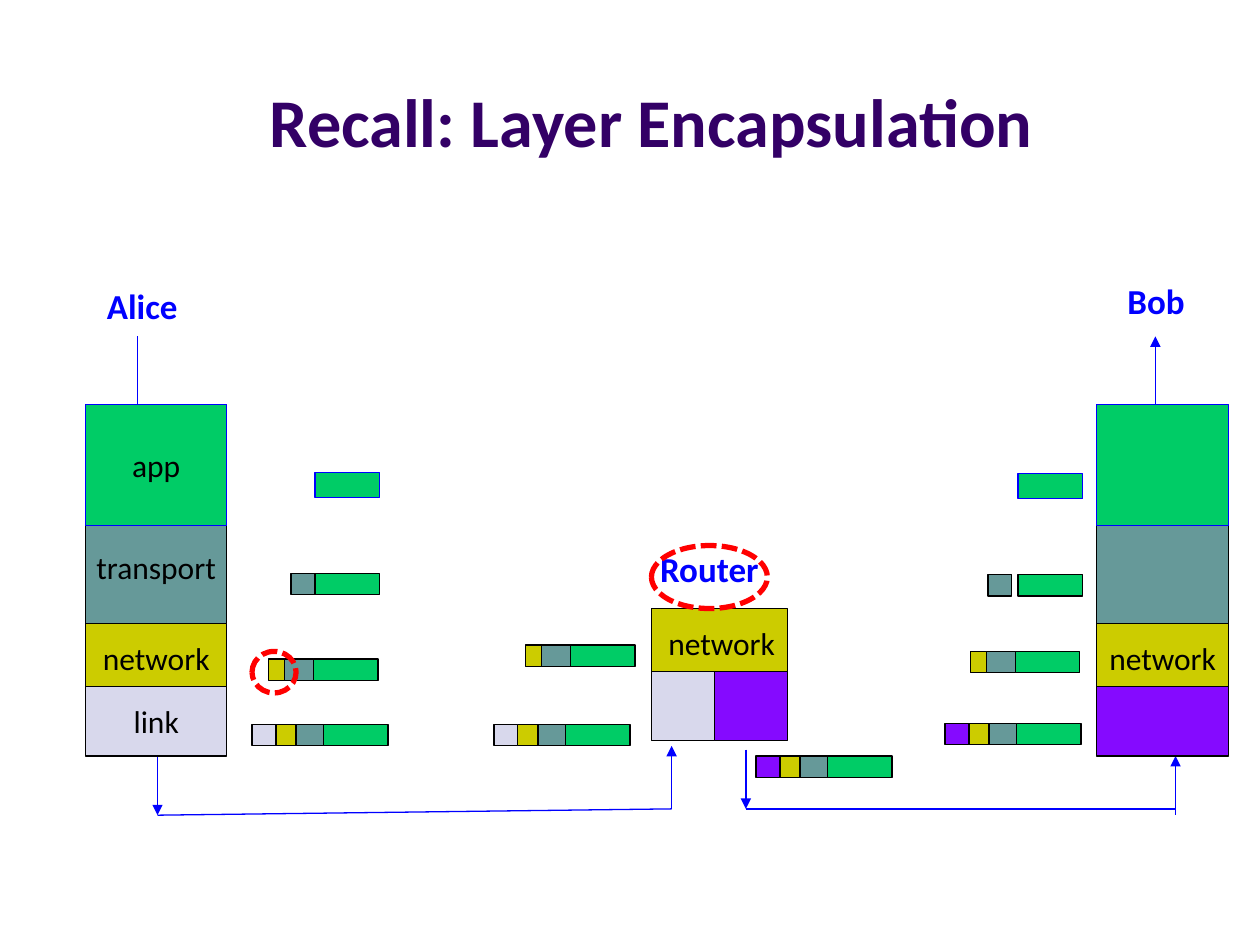
from lxml import etree
from pptx import Presentation
from pptx.dml.color import RGBColor
from pptx.enum import dml, shapes, text
from pptx.oxml import ns
from pptx.util import Inches, Pt

HUES = {"app": "00CC66", "transport": "669999", "network": "CCCC00",
        "link": "D8D8EC", "wire": "850AFF", "blue": "0000FF",
        "black": "000000", "red": "FF0000", "title": "330066"}
KIND = shapes.MSO_SHAPE
ALIGN = text.PP_ALIGN


def write(shape, words, size=18, hue="black", bold=False, align=ALIGN.CENTER,
          anchor=text.MSO_ANCHOR.MIDDLE, wrap=False):
    """Put formatted words into a shape."""
    frame = shape.text_frame
    frame.word_wrap, frame.vertical_anchor = wrap, anchor
    par = frame.paragraphs[0]
    par.alignment = align
    run = par.add_run()
    run.text = words
    run.font.name, run.font.size, run.font.bold = "Calibri", Pt(size), bold
    run.font.color.rgb = RGBColor.from_string(HUES[hue])


def draw(x, y, wide, high, fill=None, line="black", kind=KIND.RECTANGLE, width=0.75):
    """Add a plain shape, unfilled when no fill is named."""
    shape = slide.shapes.add_shape(kind, *map(Inches, (x, y, wide, high)))
    shape.shadow.inherit = False
    if fill:
        shape.fill.solid()
        shape.fill.fore_color.rgb = RGBColor.from_string(HUES[fill])
    else:
        shape.fill.background()
    shape.line.color.rgb = RGBColor.from_string(HUES[line])
    shape.line.width = Pt(width)
    return shape


deck = Presentation()
deck.slide_width, deck.slide_height = Inches(10), Inches(7.5)
slide = deck.slides.add_slide(deck.slide_layouts[5])
title = slide.shapes.title
title.left, title.top, title.width, title.height = map(Inches, (0.67, 0.05, 9, 1.28))
write(title, "Recall: Layer Encapsulation", size=39, hue="title", bold=True,
      anchor=text.MSO_ANCHOR.BOTTOM, wrap=True)

# Wires: start, end, and which end has the arrowhead
wires = [
    (9.17, 2.67, 9.17, 5.75, "headEnd"),
    (1.09, 2.67, 1.09, 5.75, "tailEnd"),
    (1.25, 6.47, 5.33, 6.42, None),
    (1.25, 6, 1.25, 6.47, "tailEnd"),
    (9.33, 6, 9.33, 6.47, "headEnd"),
    (5.33, 5.92, 5.33, 6.42, "headEnd"),
    (5.92, 6.42, 9.33, 6.42, None),
    (5.92, 5.95, 5.92, 6.42, "tailEnd"),
]
for *ends, tip in wires:
    wire = slide.shapes.add_connector(shapes.MSO_CONNECTOR.STRAIGHT, *map(Inches, ends))
    wire.line.color.rgb = RGBColor.from_string(HUES["blue"])
    wire.line.width = Pt(0.75)
    if tip:
        etree.SubElement(wire.line._get_or_add_ln(), ns.qn("a:" + tip), type="triangle")
    etree.SubElement(wire._element.spPr, ns.qn("a:effectLst"))

# Host stacks: each later layer overlaps the one before
layers = [("transport", 4, 1), ("network", 4.95, 0.55),
          ("link", 5.45, 0.55), ("app", 3.21, 0.96)]
for name, top, high in layers:
    line = "blue" if name == "app" else "black"
    alice = draw(0.68, top, 1.12, high, name, line)
    write(alice, name)
    bob = draw(8.7, top, 1.05, high, "wire" if name == "link" else name, line)
    if name == "network":
        write(bob, name, align=ALIGN.RIGHT)

# Router stack
write(draw(5.17, 4.83, 1.08, 0.55, "network"), "network", align=ALIGN.RIGHT)
draw(5.17, 5.33, 0.5, 0.55, "link")
draw(5.67, 5.33, 0.58, 0.55, "wire")

# Packets: offset and width of each part, by number of headers
forms = {
    1: [("app", 0.19, 0.51), ("transport", 0, 0.19)],
    2: [("app", 0.36, 0.51), ("transport", 0.1, 0.26), ("network", 0, 0.13)],
    3: [("app", 0.57, 0.51), ("transport", 0.31, 0.26),
        ("network", 0.09, 0.26), ("link", 0, 0.19)],
}
packets = [(2.31, 4.55, 1, "link"), (2.13, 5.23, 2, "link"), (2, 5.75, 3, "link"),
           (4.17, 5.12, 2, "link"), (3.92, 5.75, 3, "link"), (6, 6, 3, "wire"),
           (7.7, 5.17, 2, "wire"), (7.5, 5.74, 3, "wire")]
for left, top, count, link in packets:
    for name, shift, wide in forms[count]:
        draw(left + shift, top, wide, 0.17, link if name == "link" else name)

# Bob's transport header is already split off
draw(8.08, 4.56, 0.51, 0.17, "app")
draw(7.84, 4.56, 0.19, 0.17, "transport")
for left, top in [(2.5, 3.75), (8.08, 3.76)]:
    draw(left, top, 0.51, 0.2, "app", "blue")

names = [("Alice", 0.75, 2.21, 1.12, ALIGN.LEFT),
         ("Bob", 8.67, 2.17, 1.01, ALIGN.CENTER),
         ("Router", 4.92, 4.3, 1.42, ALIGN.CENTER)]
for name, left, top, wide, align in names:
    label = slide.shapes.add_textbox(*map(Inches, (left, top, wide, 0.44)))
    write(label, name, size=20, hue="blue", bold=True, align=align,
          anchor=text.MSO_ANCHOR.TOP, wrap=True)

for place in [(2, 5.17, 0.35, 0.33), (5.17, 4.33, 0.92, 0.5)]:
    ring = draw(*place, line="red", kind=KIND.OVAL, width=3)
    ring.line.dash_style = dml.MSO_LINE.SQUARE_DOT

deck.save("out.pptx")
